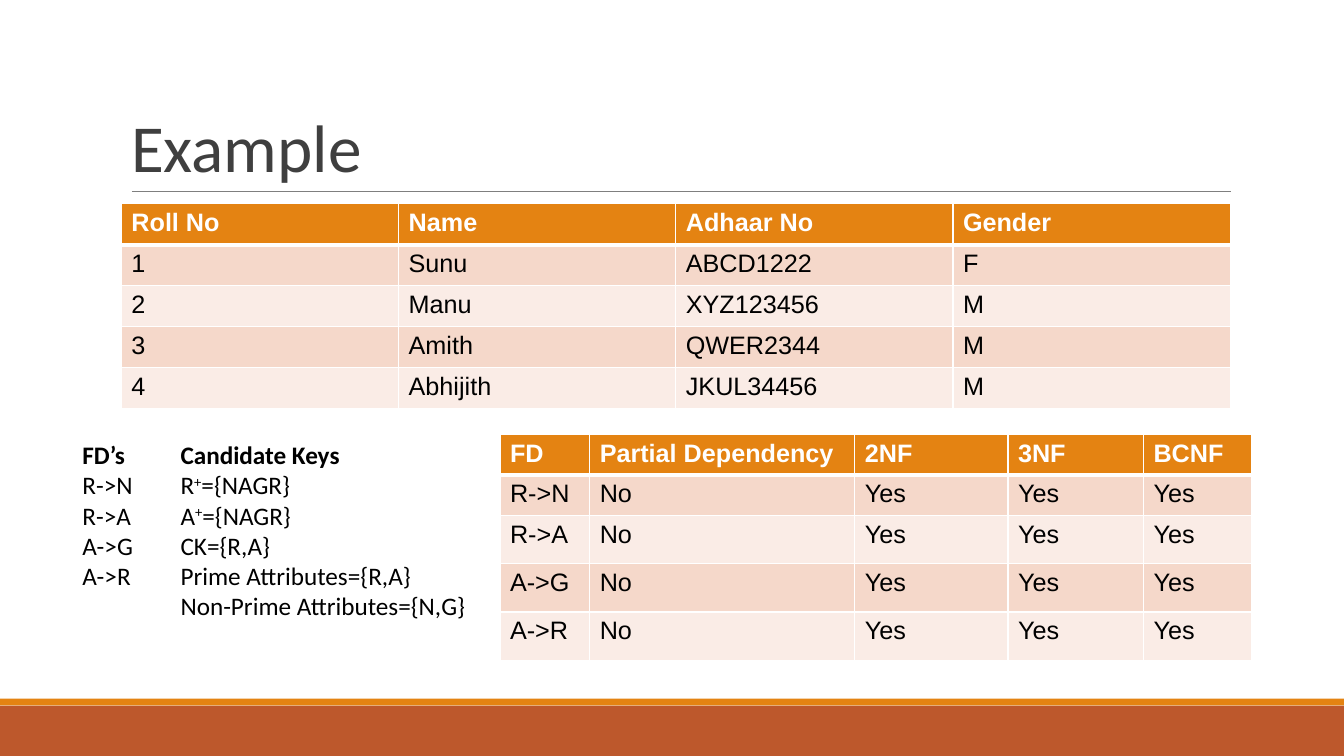
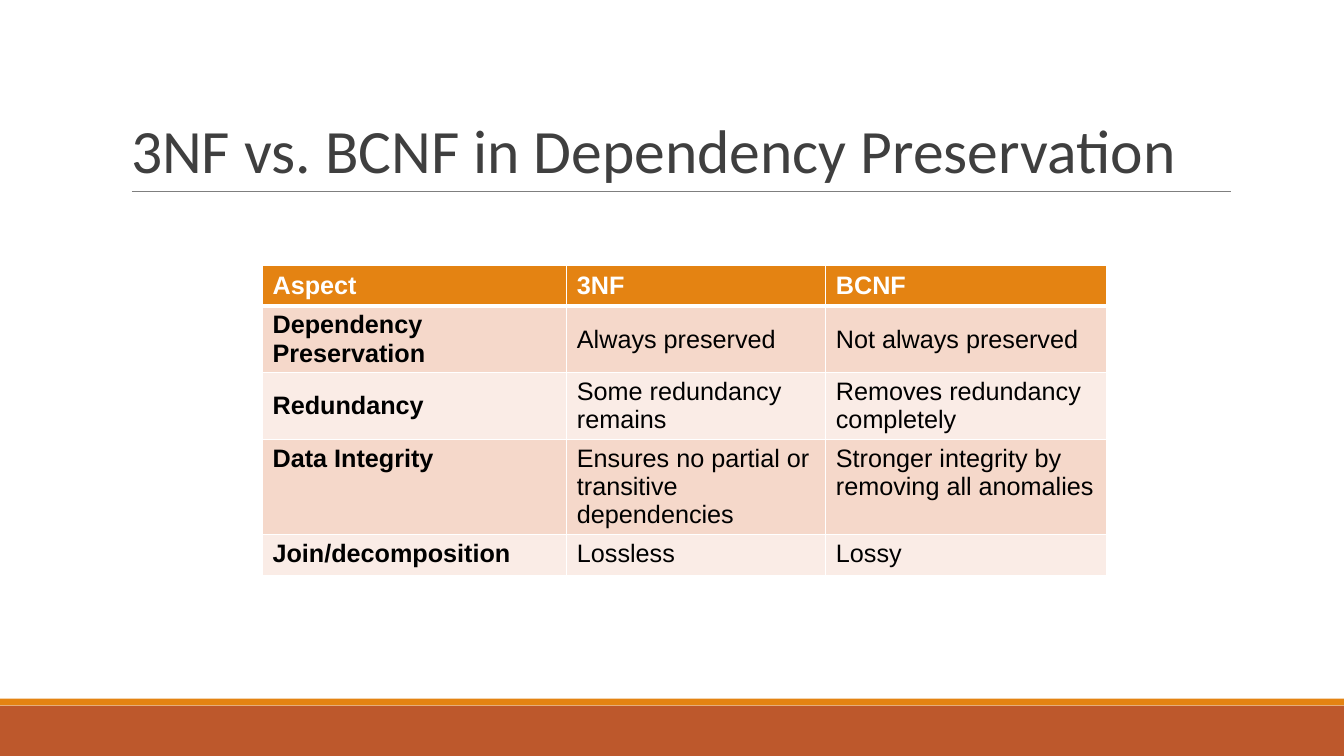
from lxml import etree
from pptx import Presentation
from pptx.dml.color import RGBColor
from pptx.enum.shapes import MSO_CONNECTOR, MSO_SHAPE
from pptx.enum.text import MSO_ANCHOR, MSO_AUTO_SIZE, PP_ALIGN
from pptx.oxml.ns import qn
from pptx.util import Pt

STRAIGHT = MSO_CONNECTOR.STRAIGHT
RECTANGLE = MSO_SHAPE.RECTANGLE
TOP, MIDDLE, BOTTOM = MSO_ANCHOR.TOP, MSO_ANCHOR.MIDDLE, MSO_ANCHOR.BOTTOM
LEFT = PP_ALIGN.LEFT
NO_FIT, FIT_SHAPE = MSO_AUTO_SIZE.NONE, MSO_AUTO_SIZE.SHAPE_TO_FIT_TEXT
TITLE_ONLY = 5

WIDTH, HEIGHT = 960, 540
WHITE, BLACK = "FFFFFF", "000000"
ORANGE, RUST = "E48312", "BD582C"
TITLE_GREY, RULE_GREY = "3F3F3F", "7F7F7F"
ROW_TINTS = ("F5D8CA", "FAECE6")
BANDS = ((504, 36, RUST), (499, 4.8, ORANGE))
TITLE_BOX = (86.4, 22.3, 792, 114.5)
RULE_LEFT, RULE_RIGHT, RULE_Y = 94.3, 879.1, 136.8
HEADER_RULE, CELL_RULE = 3, 1
ROW_HEIGHT = 29.2


def rgb(hex_string):
    return RGBColor.from_string(hex_string)


def points(*lengths):
    return [Pt(length) for length in lengths]


def style_font(font, color, size=18, name="Calibri", bold=False):
    for attribute, value in {"size": Pt(size), "name": name, "bold": bold}.items():
        setattr(font, attribute, value)
    font.color.rgb = rgb(color)


def add_bands(slide):
    for top, height, color in BANDS:
        band = slide.shapes.add_shape(RECTANGLE, *points(0, top, WIDTH, height))
        band.shadow.inherit = False
        band.fill.solid()
        band.fill.fore_color.rgb = rgb(color)
        band.line.fill.background()


def add_title_rule(slide):
    rule = slide.shapes.add_connector(
        STRAIGHT, *points(RULE_LEFT, RULE_Y, RULE_RIGHT, RULE_Y))
    rule.line.color.rgb = rgb(RULE_GREY)
    rule.line.width = Pt(0.75)
    etree.SubElement(rule._element.spPr, qn("a:effectLst"))


def set_title(slide, text, size):
    title = slide.shapes.title
    for side, length in zip(("left", "top", "width", "height"), points(*TITLE_BOX)):
        setattr(title, side, length)
    frame = title.text_frame
    frame.text = text
    for attribute, value in {"vertical_anchor": BOTTOM, "word_wrap": True,
                             "auto_size": NO_FIT}.items():
        setattr(frame, attribute, value)
    paragraph = frame.paragraphs[0]
    paragraph.alignment = LEFT
    paragraph.line_spacing = 0.85
    style_font(paragraph.runs[0].font, TITLE_GREY, size)


def start_slide(deck, title, title_size):
    slide = deck.slides.add_slide(deck.slide_layouts[TITLE_ONLY])
    add_bands(slide)
    add_title_rule(slide)
    set_title(slide, title, title_size)
    return slide


def set_borders(cell, top, bottom):
    properties = cell._tc.get_or_add_tcPr()
    widths = {"a:lnL": CELL_RULE, "a:lnR": CELL_RULE, "a:lnT": top, "a:lnB": bottom}
    for tag, width in widths.items():
        border = etree.SubElement(properties, qn(tag), w=str(Pt(width)))
        fill = etree.SubElement(border, qn("a:solidFill"))
        etree.SubElement(fill, qn("a:srgbClr"), val=WHITE)


def fill_cell(cell, text, row, bold, anchor):
    header = row == 0
    set_borders(cell, HEADER_RULE if row == 1 else CELL_RULE,
                HEADER_RULE if header else CELL_RULE)
    cell.fill.solid()
    cell.fill.fore_color.rgb = rgb(ORANGE if header else ROW_TINTS[(row - 1) % 2])
    cell.vertical_anchor = anchor
    cell.text = text
    style_font(cell.text_frame.paragraphs[0].runs[0].font,
               WHITE if header else BLACK, name="Arial", bold=header or bold)


def add_grid(slide, left, top, widths, heights, rows, bold_labels=False, middle_rows=0):
    table = slide.shapes.add_table(
        len(rows), len(widths),
        *points(left, top, sum(widths), sum(heights))).table
    table.horz_banding = False
    for column, width in zip(table.columns, widths):
        column.width = Pt(width)
    for row, (height, texts) in enumerate(zip(heights, rows)):
        table.rows[row].height = Pt(height)
        for column, text in enumerate(texts):
            fill_cell(table.cell(row, column), text, row,
                      bold_labels and column == 0,
                      MIDDLE if row < middle_rows else TOP)


def add_notes_column(slide, left, top, width, height, lines):
    frame = slide.shapes.add_textbox(*points(left, top, width, height)).text_frame
    frame.word_wrap = True
    frame.auto_size = FIT_SHAPE
    for index, line in enumerate(lines):
        paragraph = frame.add_paragraph() if index else frame.paragraphs[0]
        for part, text in enumerate(line.split("^")):
            run = paragraph.add_run()
            run.text = text
            style_font(run.font, BLACK, bold=index == 0)
            if part % 2:
                run._r.get_or_add_rPr().set("baseline", "30000")


def build_example(deck):
    slide = start_slide(deck, "Example", 48)
    students = [
        ("Roll No", "Name", "Adhaar No", "Gender"),
        ("1", "Sunu", "ABCD1222", "F"),
        ("2", "Manu", "XYZ123456", "M"),
        ("3", "Amith", "QWER2344", "M"),
        ("4", "Abhijith", "JKUL34456", "M"),
    ]
    add_grid(slide, 86.7, 145.6, [198] * 4, [ROW_HEIGHT] * 5, students)

    dependencies = ["R->N", "R->A", "A->G", "A->R"]
    lower_top = 310.3
    add_notes_column(slide, 51.8, lower_top, 77, 116.6, ["FD’s"] + dependencies)
    add_notes_column(slide, 121.9, lower_top, 234.7, 138.2, [
        "Candidate Keys", "R^+^={NAGR}", "A^+^={NAGR}", "CK={R,A}",
        "Prime Attributes={R,A}", "Non-Prime Attributes={N,G}"])
    normal_forms = [("FD", "Partial Dependency", "2NF", "3NF", "BCNF")]
    normal_forms += [(name, "No", "Yes", "Yes", "Yes") for name in dependencies]
    add_grid(slide, 357.1, lower_top, [64.1, 189.4, 109.4, 96.8, 77.5],
             [28, 28.5] + [34.6] * 3, normal_forms)


def build_comparison(deck):
    slide = start_slide(deck, "3NF vs. BCNF in Dependency Preservation", 44)
    aspects = [
        ("Aspect", "3NF", "BCNF"),
        ("Dependency Preservation", "Always preserved", "Not always preserved"),
        ("Redundancy", "Some redundancy remains", "Removes redundancy completely"),
        ("Data Integrity", "Ensures no partial or transitive dependencies",
         "Stronger integrity by removing all anomalies"),
        ("Join/decomposition", "Lossless", "Lossy"),
    ]
    add_grid(slide, 187.5, 189.4, [217.4, 185, 200.9],
             [ROW_HEIGHT, 47.5, 47.5, 68, ROW_HEIGHT], aspects,
             bold_labels=True, middle_rows=3)


def main():
    deck = Presentation()
    deck.slide_width, deck.slide_height = points(WIDTH, HEIGHT)
    build_example(deck)
    build_comparison(deck)
    deck.save("out.pptx")


if __name__ == "__main__":
    main()
